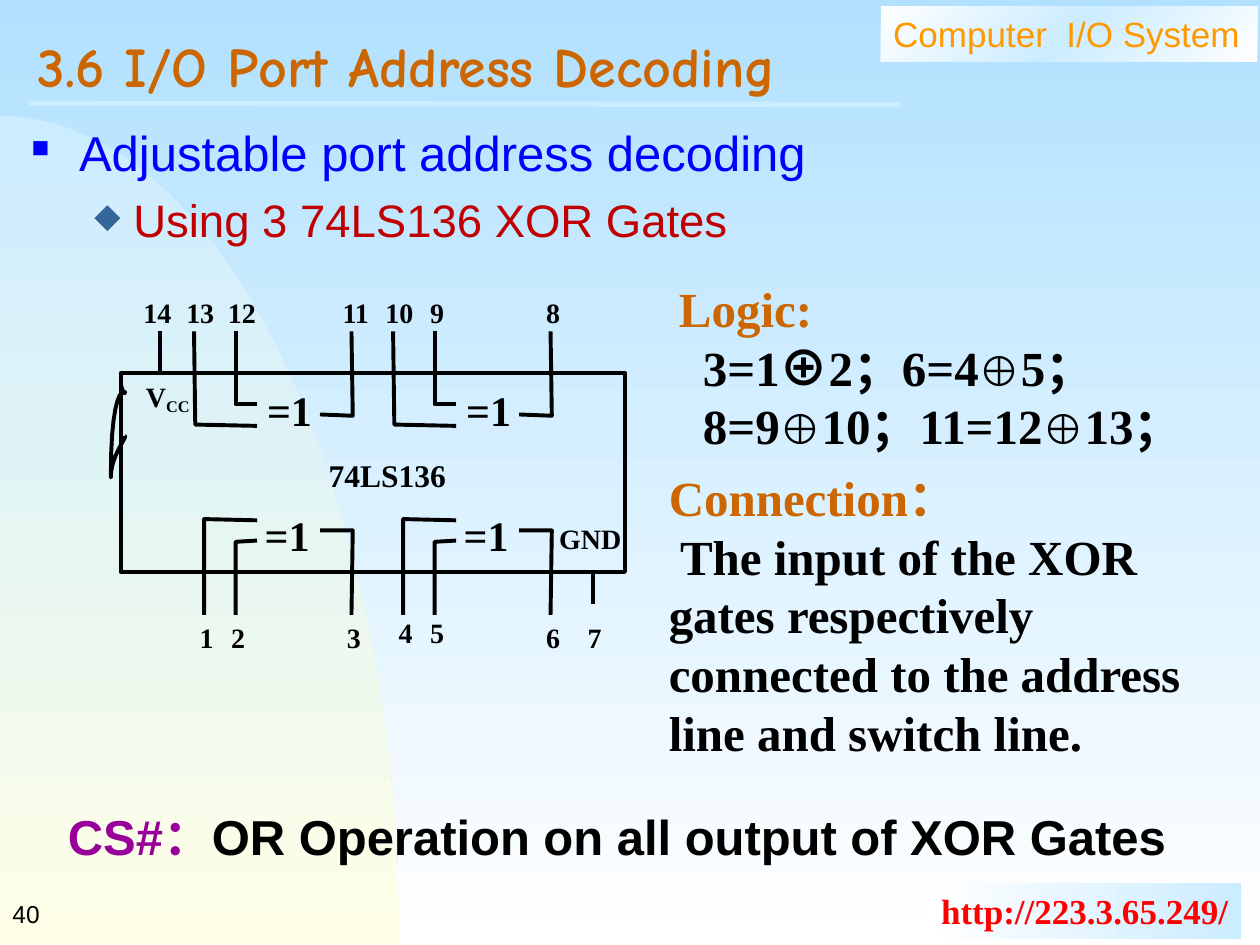
"""Build the slide on adjustable port address decoding with XOR gates."""
from copy import deepcopy
from math import cos, pi, sin

from lxml.etree import SubElement
from pptx import Presentation
from pptx.dml.color import RGBColor
from pptx.enum.shapes import MSO_CONNECTOR as Connector, MSO_SHAPE as Shape
from pptx.enum.text import MSO_ANCHOR as Anchor
from pptx.oxml.ns import qn
from pptx.util import Cm, Pt

SERIF, SANS, COMIC, CJK = "Times New Roman", "Arial", "Comic Neue", "Noto Sans CJK SC"
BLACK, ORANGE, SKY, WHITE = "000000", "CC6600", "CCECFF", "FFFFFF"

FORMATS = {
    "header": {"size": 20, "name": SANS, "color": "FF9900"},
    "address": {"size": 20, "name": SERIF, "color": "FF0000", "bold": True},
    "number": {"size": 14, "name": SANS, "color": BLACK},
    "title": {"size": 32, "name": COMIC, "color": ORANGE, "bold": True},
    "topic": {"size": 28, "name": SANS, "color": "0000FF"},
    "detail": {"size": 26, "name": SANS, "color": "C00000"},
    "heading": {"size": 28, "name": SERIF, "color": ORANGE, "bold": True},
    "body": {"size": 28, "name": SERIF, "color": BLACK, "bold": True},
    "xor": {"size": 24, "name": SERIF, "color": BLACK, "bold": True},
    "big xor": {"size": 28, "name": CJK, "color": BLACK, "bold": True},
    "select": {"size": 28, "name": SANS, "color": "990099", "bold": True},
    "result": {"size": 28, "name": SANS, "color": BLACK, "bold": True},
    "pin": {"size": 16, "name": SERIF, "color": BLACK, "bold": True},
    "sub": {"size": 16, "name": SERIF, "color": BLACK, "bold": True, "baseline": -20000},
    "part": {"size": 18, "name": SERIF, "color": BLACK, "bold": True},
}

TEXTS = [
    {"at": (6.99, 0.05, 2.99, 0.44), "fill": ([WHITE, SKY, WHITE], 45),
     "paragraphs": [{"runs": [("Computer  I/O System", "header")]}]},
    {"at": (7.37, 7.01, 2.48, 0.44), "fill": ([WHITE, SKY], 0), "wrap": False,
     "paragraphs": [{"runs": [("http://223.3.65.249/", "address")]}]},
    {"at": (0, 7, 2.08, 0.5), "anchor": Anchor.MIDDLE,
     "paragraphs": [{"runs": [("40", "number")]}]},
    {"at": (0.2, 0.2, 9.55, 0.77), "anchor": Anchor.MIDDLE,
     "paragraphs": [{"runs": [("3.6 I/O Port Address Decoding", "title")],
                     "format": {"line_spacing": 0.7}}]},
    {"at": (0.15, 0.92, 9.6, 6), "paragraphs": [
        {"runs": [("Adjustable port address decoding", "topic")],
         "indent": (0.38, -0.38), "bullet": ("■", "0000FF", 50)},
        {"runs": [("Using 3 74LS136 XOR Gates", "detail")],
         "indent": (0.81, -0.31), "bullet": ("◆", "336699", 75),
         "format": {"level": 1, "space_before": Pt(6.5)}}]},
    {"at": (5.29, 2.16, 4.51, 1.5), "paragraphs": [
        {"runs": [("Logic:", "heading")]},
        {"runs": [("3=1", "body"), ("⊕", "big xor"), ("2；6=4", "body"),
                  ("⊕", "xor"), ("5；", "body")], "indent": (0.19, 0)},
        {"runs": [("8=9", "body"), ("⊕", "xor"), ("10；11=12", "body"),
                  ("⊕", "xor"), ("13；", "body")], "indent": (0.19, 0)}]},
    {"at": (5.21, 3.66, 4.5, 2.44), "paragraphs": [
        {"runs": [("Connection：", "heading")]},
        {"runs": [("The input of the XOR gates respectively connected to the "
                   "address line and switch line.", "body")], "indent": (0, 0.09)}]},
    {"at": (0.22, 6.35, 9.33, 0.57), "paragraphs": [
        {"runs": [("CS#：", "select"), ("OR Operation on all output of XOR Gates", "result")],
         "indent": (0.22, 0)}]},
]

CHIP = (0.96, 2.96, 4, 1.58)
CHIP_LABELS = [
    ((1.06, 2.96, 0.75, 0.39), [("V", "pin"), ("CC", "sub")]),
    ((4.34, 4.09, 0.8, 0.37), [("GND", "pin")]),
    ((2.51, 3.57, 1.25, 0.4), [("74LS136", "part")]),
]
PIN_ROWS = [
    (2.3, {"14": 1.25, "13": 1.59, "12": 1.92, "11": 2.83, "10": 3.17, "9": 3.47, "8": 4.39}),
    (4.88, {"1": 1.64, "2": 1.89, "3": 2.81, "6": 4.39, "7": 4.72}),
    (4.84, {"4": 3.22, "5": 3.47}),
]
GATE_LEFTS = (2.04, 3.62)
GATE_ROWS = [
    {"label": (0.02, 3.04), "wires": [
        [(0, 3.21), (-0.17, 3.21), (-0.17, 2.63)],
        [(0, 3.38), (-0.49, 3.37), (-0.5, 2.63)],
        [(0.5, 3.29), (0.76, 3.3), (0.75, 2.63)]]},
    {"label": (0, 4.03), "wires": [
        [(0, 4.29), (-0.17, 4.3), (-0.17, 4.88)],
        [(0, 4.13), (-0.42, 4.12), (-0.42, 4.88)],
        [(0.5, 4.21), (0.76, 4.21), (0.75, 4.88)]]},
]
SUPPLY_LEADS = [((1.27, 2.63), (1.27, 2.96)), ((4.71, 4.79), (4.71, 4.54))]
NOTCH = [
    ((0.99, 3.46), (1.02, 3.46), (0.88, 3.61), (0.88, 3.79)),
    ((0.88, 3.79), (0.88, 2.97), (1.02, 3.12), (0.99, 3.12)),
    ((0.99, 3.12), (0.98, 3.12), (0.97, 3.09), (0.96, 3.05)),
]


def inch(value):
    return Cm(value * 2.54)


def rgb(color):
    return RGBColor.from_string(color)


def apply_gradient(fill, colors, clockwise):
    fill.gradient()
    last = fill.gradient_stops[1]._gs
    for _ in colors[2:]:
        last.addprevious(deepcopy(last))
    for order, (stop, color) in enumerate(zip(fill.gradient_stops, colors)):
        stop.position = order / (len(colors) - 1)
        stop.color.rgb = rgb(color)
    fill.gradient_angle = (360 - clockwise) % 360


def apply_line(line, color=BLACK, width=2.25):
    line.color.rgb = rgb(color)
    line.width = Pt(width)


def add_run(paragraph, text, style):
    run = paragraph.add_run()
    run.text = text
    for key, value in FORMATS[style].items():
        if key == "color":
            run.font.color.rgb = rgb(value)
        elif key == "baseline":
            run._r.get_or_add_rPr().set(key, str(value))
        else:
            setattr(run.font, key, Pt(value) if key == "size" else value)
    if FORMATS[style]["name"] == CJK:
        SubElement(run._r.get_or_add_rPr(), qn("a:ea"), typeface=CJK)


def add_bullet(properties, char, color, percent):
    tint = SubElement(properties, qn("a:buClr"))
    SubElement(tint, qn("a:srgbClr"), val=color)
    SubElement(properties, qn("a:buSzPct"), val=str(percent * 1000))
    SubElement(properties, qn("a:buChar"), char=char)


def add_text(shapes, at, paragraphs, fill=None, wrap=True, anchor=Anchor.TOP, margins=(0.1, 0.05)):
    box = shapes.add_textbox(*map(inch, at))
    if fill:
        apply_gradient(box.fill, *fill)
    frame = box.text_frame
    side, edge = map(inch, margins)
    layout = {"word_wrap": wrap, "vertical_anchor": anchor, "margin_left": side,
              "margin_right": side, "margin_top": edge, "margin_bottom": edge}
    for key, value in layout.items():
        setattr(frame, key, value)
    for order, content in enumerate(paragraphs):
        paragraph = frame.add_paragraph() if order else frame.paragraphs[0]
        properties = paragraph._p.get_or_add_pPr()
        for key, value in zip(("marL", "indent"), content.get("indent", ())):
            properties.set(key, str(inch(value)))
        if "bullet" in content:
            add_bullet(properties, *content["bullet"])
        for key, value in content.get("format", {}).items():
            setattr(paragraph, key, value)
        for text, style in content["runs"]:
            add_run(paragraph, text, style)


def add_outline(shapes, points, close=False):
    start, *rest = [(inch(x), inch(y)) for x, y in points]
    builder = shapes.build_freeform(*start)
    builder.add_line_segments(rest, close=close)
    outline = builder.convert_to_shape()
    outline.shadow.inherit = False
    return outline


def add_wire(shapes, points):
    wire = add_outline(shapes, points)
    wire.fill.background()
    apply_line(wire.line)


def add_line(shapes, start, end, **style):
    line = shapes.add_connector(Connector.STRAIGHT, *map(inch, start + end))
    apply_line(line.line, **style)
    SubElement(line._element.spPr, qn("a:effectLst"))


def curve_points(controls, steps=12):
    for step in range(steps + 1):
        t = step / steps
        weights = ((1 - t) ** 3, 3 * t * (1 - t) ** 2, 3 * t * t * (1 - t), t ** 3)
        yield tuple(sum(w * c for w, c in zip(weights, axis)) for axis in zip(*controls))


def add_circuit(shapes):
    chip = shapes.add_shape(Shape.RECTANGLE, *map(inch, CHIP))
    chip.shadow.inherit = False
    chip.fill.background()
    apply_line(chip.line)
    for left in GATE_LEFTS:
        for row in GATE_ROWS:
            dx, top = row["label"]
            add_text(shapes, (left + dx, top, 0.48, 0.42), [{"runs": [("=1", "xor")]}],
                     wrap=False, margins=(0.06, 0.01))
            for wire in row["wires"]:
                add_wire(shapes, [(left + x, y) for x, y in wire])
    for top, pins in PIN_ROWS:
        for pin, center in pins.items():
            width = 0.2 + 0.11 * len(pin)
            add_text(shapes, (center - width / 2, top, width, 0.37),
                     [{"runs": [(pin, "pin")]}], wrap=False)
    for at, runs in CHIP_LABELS:
        add_text(shapes, at, [{"runs": runs}])
    for start, end in SUPPLY_LEADS:
        add_line(shapes, start, end)
    add_wire(shapes, [point for part in NOTCH for point in curve_points(part)])


def main():
    deck = Presentation()
    deck.slide_width, deck.slide_height = inch(10), inch(7.5)
    slide = deck.slides.add_slide(deck.slide_layouts[6])
    shapes = slide.shapes
    apply_gradient(slide.background.fill, ["B1E1FF", WHITE], 90)
    angles = [step * pi / 120 for step in range(61)]
    arc = [(3.17 * sin(a), 7.5 - 6.58 * cos(a)) for a in angles]
    backdrop = add_outline(shapes, arc + [(0, 7.5)], close=True)
    apply_gradient(backdrop.fill, [SKY, "FFFFE7"], 90)
    backdrop.line.fill.background()
    add_line(shapes, (0.23, 0.82), (7.15, 0.83), color=SKY, width=3)
    for text in TEXTS:
        add_text(shapes, **text)
    add_circuit(shapes)
    deck.save("out.pptx")


if __name__ == "__main__":
    main()
